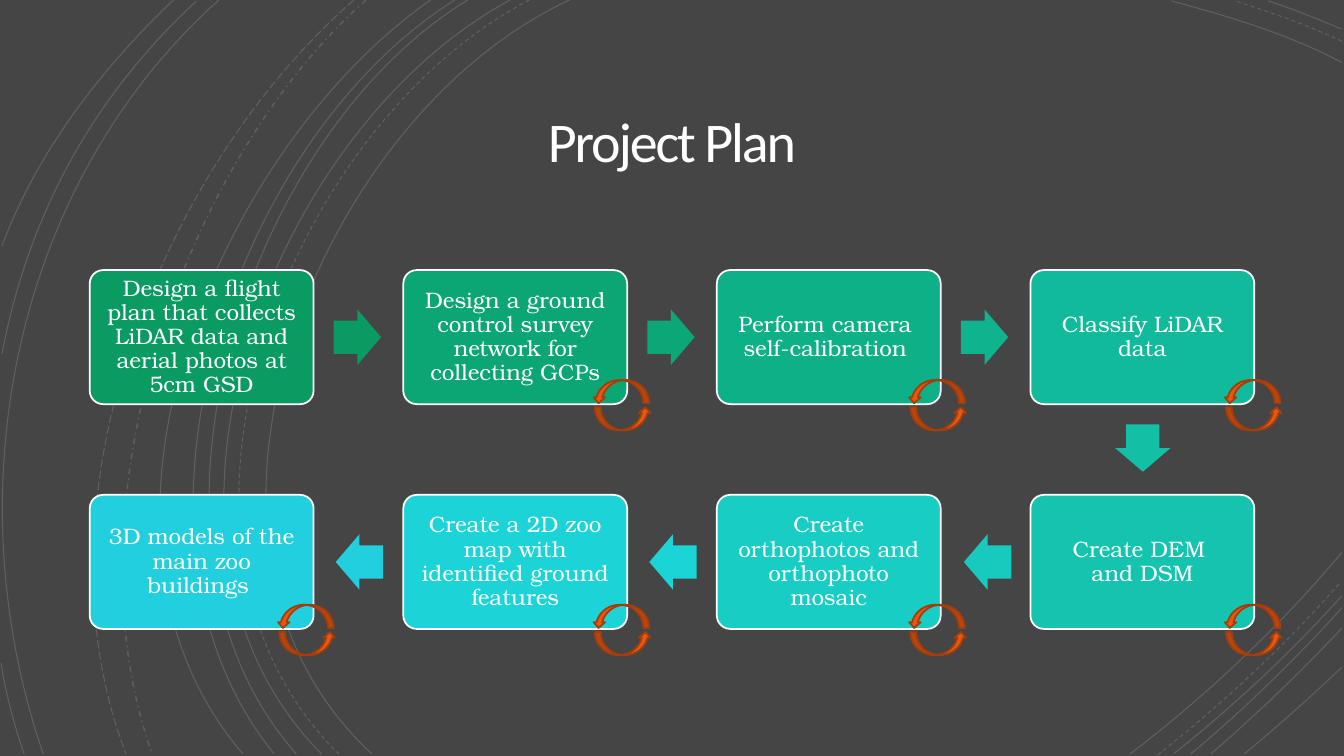
import lxml.etree
import pptx
import pptx.dml.color
import pptx.enum.dml
import pptx.enum.shapes
import pptx.enum.text
import pptx.oxml.ns
import pptx.util
from dataclasses import dataclass

Inches = pptx.util.Inches
SHAPE = pptx.enum.shapes.MSO_SHAPE
DASH = pptx.enum.dml.MSO_LINE
qn = pptx.oxml.ns.qn


@dataclass(frozen=True)
class Theme:
    back: str = "454545"
    white: str = "FFFFFF"
    loop: str = "E75710"
    rim: str = "A33D0B"
    head_font: str = "Calibri"
    body_font: str = "TeX Gyre Bonum"
    head_size: float = 40
    body_size: float = 16
    edge: float = 1.25
    thin: float = 0.75
    fade: int = 15


CARD_W, CARD_H = 2.22, 1.33
LEFT, TOP = 0.89, 2.68
COL_STEP, ROW_STEP = 3.11, 2.23
ARROW_W, ARROW_H = 0.47, 0.55
LOOP_LEFT, LOOP_STEP = 2.77, 3.13

# Column, row, card colour, wording, has a loop
STEPS = [
    (0, 0, "099B62", "Design a flight plan that collects LiDAR data and aerial photos at 5cm GSD", False),
    (1, 0, "0CA674", "Design a ground control survey network for collecting GCPs", True),
    (2, 0, "0EB087", "Perform camera \nself-calibration ", True),
    (3, 0, "11BA9B", "Classify LiDAR data", True),
    (3, 1, "15C4AF", "Create DEM \nand DSM", True),
    (2, 1, "18CDC4", "Create orthophotos and orthophoto mosaic", True),
    (1, 1, "1CD4D7", "Create a 2D zoo map with identified ground features", True),
    (0, 1, "21CFDF", "3D models of the main zoo buildings ", True),
]

# Left, top, turn, colour
ARROWS = [
    (3.31, 3.07, 0, "099B62"),
    (6.42, 3.07, 0, "0CA777"),
    (9.53, 3.07, 0, "0FB38D"),
    (11.1, 4.17, 90, "13BFA5"),
    (9.56, 5.3, 180, "17CABD"),
    (6.44, 5.3, 180, "1BD4D5"),
    (3.33, 5.3, 180, "21CFDF"),
]

# Each arc: start, two control points, end
SOLID_ARCS = [
    [(5.65, 0), (3.15, 1.15), (1.43, 5.4), (3.69, 7.48)],
    [(13.31, 0.62), (12.78, 0.34), (12.18, 0.16), (11.62, 0.01)],
    [(11.21, 7.48), (11.97, 6.9), (12.69, 6.22), (13.31, 5.48)],
    [(5.06, 0), (2.7, 1.27), (1.1, 5.37), (3.19, 7.48)],
    [(13.31, 0.29), (13.07, 0.19), (12.83, 0.09), (12.58, 0.01)],
    [(11.64, 7.48), (12.23, 7.01), (12.8, 6.48), (13.31, 5.91)],
    [(4.64, 0), (2.44, 1.33), (1.1, 5.41), (2.94, 7.48)],
    [(11.81, 7.48), (12.34, 7.04), (12.84, 6.55), (13.31, 6.03)],
    [(4.51, 0), (2.31, 1.38), (0.97, 5.33), (2.72, 7.48)],
    [(12.01, 7.48), (12.46, 7.09), (12.9, 6.67), (13.31, 6.23)],
    [(4.27, 0), (2.17, 1.47), (0.53, 5.29), (2.41, 7.48)],
    [(12.34, 7.48), (12.67, 7.21), (12.99, 6.92), (13.31, 6.62)],
    [(2.17, 0), (0.11, 1.85), (-0.46, 4.9), (0.43, 7.48)],
    [(1.95, 0.01), (0.92, 0.96), (0.28, 2.14), (0.02, 3.51)],
    [(0.01, 6.58), (0.06, 6.89), (0.14, 7.19), (0.24, 7.48)],
    [(1.72, 0), (1, 0.69), (0.37, 1.5), (0.02, 2.44)],
]
DASH_ARCS = [
    [(5.25, 0), (2.85, 1.25), (1.23, 5.37), (3.36, 7.48)],
    [(13.31, 0.41), (12.97, 0.25), (12.6, 0.12), (12.25, 0.01)],
    [(11.48, 7.49), (12.13, 6.98), (12.75, 6.4), (13.3, 5.77)],
]
DOT_ARC = [(3.63, 0), (1.76, 1.66), (0.65, 5.09), (1.51, 7.48)]
LONG_ARC = [(3.51, 0), (1.57, 1.69), (0.29, 4.99), (1.25, 7.48)]


def tint(code):
    return pptx.dml.color.RGBColor.from_string(code)


class Deck:
    def __init__(self, theme):
        self.theme = theme
        self.show = pptx.Presentation()
        self.show.slide_width = Inches(13.33)
        self.show.slide_height = Inches(7.5)
        self.slide = self.show.slides.add_slide(self.show.slide_layouts[6])
        fill = self.slide.background.fill
        fill.solid()
        fill.fore_color.rgb = tint(theme.back)

    def shape(self, kind, box, fill, line=None):
        item = self.slide.shapes.add_shape(kind, *map(Inches, box))
        item.shadow.inherit = False
        item.fill.solid()
        item.fill.fore_color.rgb = tint(fill)
        if line:
            item.line.color.rgb = tint(line)
            item.line.width = pptx.util.Pt(self.theme.edge)
        else:
            item.line.fill.background()
        return item

    def label(self, item, text, font, size, pad, space, track=0):
        """Centre text in an item; track is letter spacing in points."""
        frame = item.text_frame
        frame.word_wrap = True
        frame.vertical_anchor = pptx.enum.text.MSO_ANCHOR.MIDDLE
        frame.margin_left = frame.margin_right = Inches(pad)
        frame.margin_top = frame.margin_bottom = Inches(pad)
        para = frame.paragraphs[0]
        para.alignment = pptx.enum.text.PP_ALIGN.CENTER
        para.line_spacing = space
        for i, part in enumerate(text.split("\n")):
            if i:
                para.add_line_break()
            run = para.add_run()
            run.text = part
            run.font.name = font
            run.font.size = pptx.util.Pt(size)
            run.font.color.rgb = tint(self.theme.white)
            if track:
                run._r.get_or_add_rPr().set("spc", str(int(track * 100)))

    def title(self, text, box):
        item = self.slide.shapes.add_textbox(*map(Inches, box))
        self.label(item, text, self.theme.head_font, self.theme.head_size, 0.25, 0.85, -1.5)

    def card(self, left, top, fill, text):
        box = (left, top, CARD_W, CARD_H)
        item = self.shape(SHAPE.ROUNDED_RECTANGLE, box, fill, self.theme.white)
        item.adjustments[0] = 0.1
        self.label(item, text, self.theme.body_font, self.theme.body_size, 0.07, 0.9)

    def arrow(self, left, top, turn, fill):
        item = self.shape(SHAPE.RIGHT_ARROW, (left, top, ARROW_W, ARROW_H), fill)
        item.adjustments[0] = 0.6
        item.rotation = turn

    def loop(self, left, top):
        """Two curved arrows that chase each other."""
        look = self.theme.loop, self.theme.rim
        self.shape(SHAPE.CURVED_UP_ARROW, (left, top + 0.27, 0.56, 0.23), *look)
        upper = self.shape(SHAPE.CURVED_DOWN_ARROW, (left - 0.02, top, 0.56, 0.23), *look)
        upper.element.spPr.find(qn("a:xfrm")).set("flipH", "1")

    def arc(self, points, dash=DASH.SOLID, width=None):
        """Draw one faint cubic curve from its four points."""
        start, *rest = [(Inches(x), Inches(y)) for x, y in points]
        pen = self.slide.shapes.build_freeform(*start)
        pen.add_line_segments(rest, close=False)
        item = pen.convert_to_shape()
        item.shadow.inherit = False
        item.fill.background()
        item.line.color.rgb = tint(self.theme.white)
        item.line.width = pptx.util.Pt(width or self.theme.thin)
        item.line.dash_style = dash
        shade = item.element.spPr.find(".//" + qn("a:srgbClr"))
        lxml.etree.SubElement(shade, qn("a:alpha"), val=str(self.theme.fade * 1000))
        # The three straight legs become the points of a single curve
        trace = item.element.find(".//" + qn("a:path"))
        curve = lxml.etree.SubElement(trace, qn("a:cubicBezTo"))
        for leg in trace.findall(qn("a:lnTo")):
            curve.append(leg[0])
            trace.remove(leg)


def main():
    deck = Deck(Theme())
    for points in SOLID_ARCS:
        deck.arc(points)
    for points in DASH_ARCS:
        deck.arc(points, DASH.DASH)
    deck.arc(DOT_ARC, DASH.DASH_DOT, 1)
    deck.arc(LONG_ARC, DASH.LONG_DASH)

    deck.title("Project Plan", (1.92, 0.87, 9.49, 1.15))
    for col, row, fill, text, _ in STEPS:
        deck.card(LEFT + col * COL_STEP, TOP + row * ROW_STEP, fill, text)
    for arrow in ARROWS:
        deck.arrow(*arrow)
    for col, row, _, _, looped in STEPS:
        if looped:
            deck.loop(LOOP_LEFT + col * LOOP_STEP, TOP + 1.09 + row * ROW_STEP)
    deck.show.save("out.pptx")


if __name__ == "__main__":
    main()
